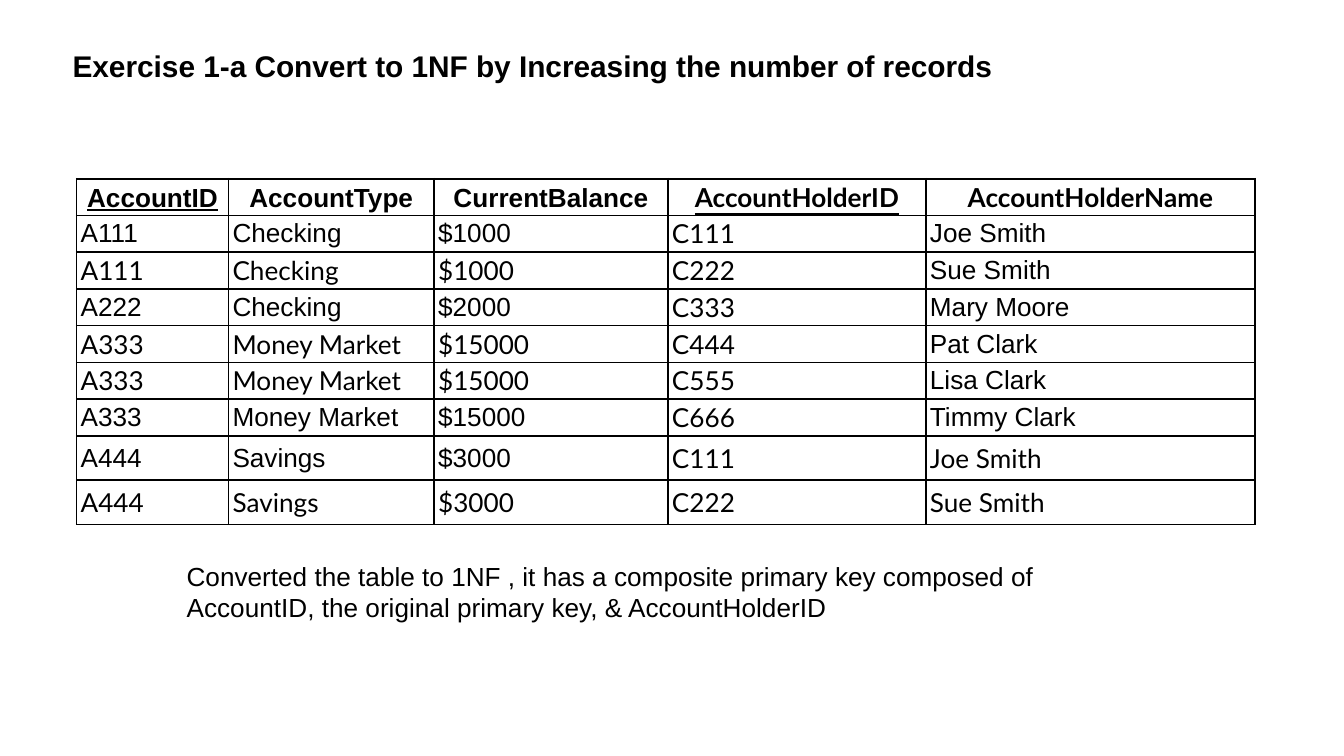
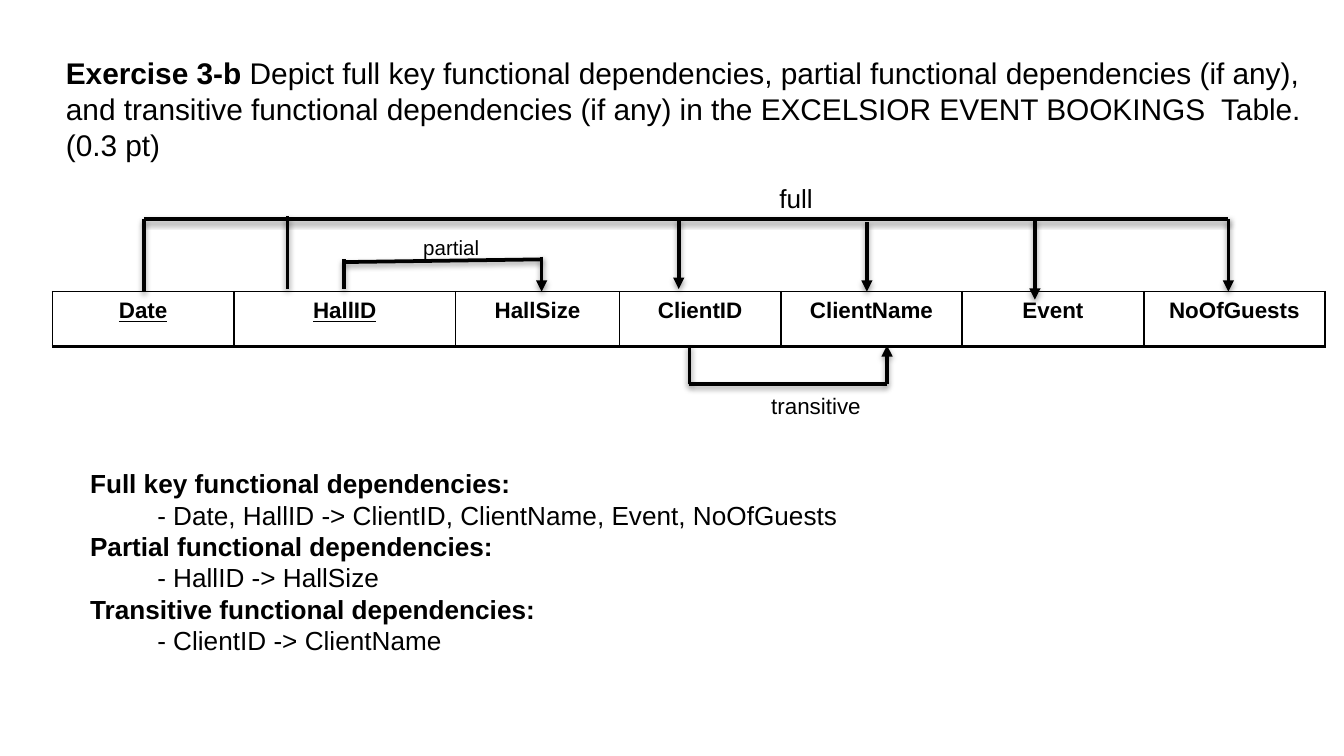
"""Builds two slides on normalisation: a 1NF table and a functional dependency diagram."""
from dataclasses import dataclass

from lxml.etree import SubElement
from pptx import Presentation
from pptx.dml.color import RGBColor
from pptx.enum.shapes import MSO_CONNECTOR
from pptx.enum.text import MSO_ANCHOR, MSO_AUTO_SIZE, PP_ALIGN
from pptx.oxml import parse_xml
from pptx.oxml.ns import nsdecls, qn
from pptx.util import Inches, Pt

COLORS = {"ink": "000000", "page": "FFFFFF"}
FONTS = {"A": "Arial", "L": "Lato"}
TITLE_ONLY, TITLE_AND_BODY = 5, 1
EDGES = ("L", "R", "T", "B")

HOLDER_COLS = (1.13, 1.53, 1.74, 1.92, 2.45)
HOLDER_ROWS = (0.22,) * 7 + (0.33,) * 2
HOLDER_CELLS = (
    ("AccountID", "AccountType", "CurrentBalance", "AccountHolderID", "AccountHolderName"),
    ("A111", "Checking", "$1000", "C111", "Joe Smith"),
    ("A111", "Checking", "$1000", "C222", "Sue Smith"),
    ("A222", "Checking", "$2000", "C333", "Mary Moore"),
    ("A333", "Money Market", "$15000", "C444", "Pat Clark"),
    ("A333", "Money Market", "$15000", "C555", "Lisa Clark"),
    ("A333", "Money Market", "$15000", "C666", "Timmy Clark"),
    ("A444", "Savings", "$3000", "C111", "Joe Smith"),
    ("A444", "Savings", "$3000", "C222", "Sue Smith"),
)
HOLDER_FONTS = ("AAALL", "AAALA", "LLLLA", "AAALA", "LLLLA", "LLLLA", "AAALA", "AAALL", "LLLLL")

BOOKING_COLS = (1.35, 1.65, 1.22, 1.2, 1.35, 1.35, 1.35)
BOOKING_FIELDS = ("Date", "HallID", "HallSize", "ClientID", "ClientName", "Event", "NoOfGuests")
KEYS = {"AccountID", "AccountHolderID", "Date", "HallID"}

DEPENDENCIES = (
    ("Full key functional dependencies:", "- Date, HallID -> ClientID, ClientName, Event, NoOfGuests"),
    ("Partial functional dependencies:", "- HallID -> HallSize"),
    ("Transitive functional dependencies:", "- ClientID -> ClientName"),
)


@dataclass(frozen=True)
class Box:
    """A rectangle in inches."""
    x: float
    y: float
    w: float
    h: float

    def lengths(self) -> tuple:
        """Return left, top, width and height as lengths."""
        return tuple(Inches(v) for v in (self.x, self.y, self.w, self.h))


@dataclass(frozen=True)
class Leg:
    """A vertical stroke from the rail to the table, with an arrowhead at a dependent field."""
    x: float
    rail: float
    foot: float
    arrow: bool = False


@dataclass(frozen=True)
class Dependency:
    """A labelled bracket joining determinant fields to dependent fields."""
    label: str
    label_box: Box
    size: int
    rail: tuple[float, float]
    legs: tuple[Leg, ...]


BRACKETS = (
    Dependency("full", Box(5.7, 1.31, 0.45, 0.34), 14, (1.63, 1.63), (
        Leg(1.07, 1.63, 2.17), Leg(2.14, 1.61, 2.15), Leg(5.05, 1.63, 2.15, True),
        Leg(6.45, 1.65, 2.17, True), Leg(7.7, 1.63, 2.23, True), Leg(9.14, 1.63, 2.17, True))),
    Dependency("partial", Box(3.05, 1.7, 0.62, 0.29), 11, (1.95, 1.93), (
        Leg(2.56, 1.93, 2.15), Leg(4.03, 1.91, 2.17, True))),
    Dependency("transitive", Box(5.64, 2.87, 0.87, 0.3), 12, (2.86, 2.86), (
        Leg(5.13, 2.86, 2.57), Leg(6.6, 2.86, 2.57, True))),
)


def style(p, size: float, bold: bool = False, underline: bool = False, font: str = "A") -> None:
    """Format every run of a paragraph."""
    for r in p.runs:
        r.font.size, r.font.name = Pt(size), FONTS[font]
        r.font.bold, r.font.underline = bold, underline
        r.font.color.rgb = RGBColor.from_string(COLORS["ink"])


def place(sp, box: Box) -> None:
    """Move a placeholder to a box."""
    sp.left, sp.top, sp.width, sp.height = box.lengths()


def add_slide(prs, layout: int, box: Box, bold_text: str, plain_text: str = ""):
    """Add a white slide with its title."""
    s = prs.slides.add_slide(prs.slide_layouts[layout])
    s.background.fill.solid()
    s.background.fill.fore_color.rgb = RGBColor.from_string(COLORS["page"])
    sp = s.shapes.title
    place(sp, box)
    tf = sp.text_frame
    tf.text = bold_text
    tf.auto_size, tf.vertical_anchor = MSO_AUTO_SIZE.NONE, MSO_ANCHOR.MIDDLE
    p = tf.paragraphs[0]
    p.alignment = PP_ALIGN.LEFT
    if plain_text:
        p.add_run().text = plain_text
    style(p, 16)
    p.runs[0].font.bold = True
    return s


def add_text(s, box: Box, text: str, size: float, wrap: bool = False) -> None:
    """Add a text box with one paragraph."""
    tf = s.shapes.add_textbox(*box.lengths()).text_frame
    tf.text = text
    tf.word_wrap, tf.auto_size = wrap, MSO_AUTO_SIZE.SHAPE_TO_FIT_TEXT
    style(tf.paragraphs[0], size)


def add_borders(cell, bottom: float) -> None:
    """Draw the four cell borders, the bottom one with its own width."""
    tc_pr = cell._tc.get_or_add_tcPr()
    for i, edge in enumerate(EDGES):
        width = Pt(bottom if edge == "B" else 1)
        tc_pr.insert(i, parse_xml(
            f'<a:ln{edge} {nsdecls("a")} w="{width}"><a:solidFill>'
            f'<a:srgbClr val="{COLORS["ink"]}"/></a:solidFill></a:ln{edge}>'))


def add_grid(s, box: Box, cols: tuple, rows: tuple, cells: tuple, size: float, bottom: float = 1):
    """Add a plain bordered table with a bold, centred header row and return it."""
    table = s.shapes.add_table(len(rows), len(cols), *box.lengths()).table
    table.first_row = table.horz_banding = False
    for column, width in zip(table.columns, cols):
        column.width = Inches(width)
    for i, (row, height) in enumerate(zip(table.rows, rows)):
        row.height = Inches(height)
        for cell, text in zip(row.cells, cells[i]):
            cell.text = text
            cell.fill.background()
            add_borders(cell, bottom)
            p = cell.text_frame.paragraphs[0]
            p.alignment = PP_ALIGN.LEFT if i else PP_ALIGN.CENTER
            style(p, size, i == 0, text in KEYS)
    return table


def add_line(s, x1: float, y1: float, x2: float, y2: float, arrow: bool = False) -> None:
    """Add a shadowed line, optionally ending in an arrowhead."""
    c = s.shapes.add_connector(MSO_CONNECTOR.STRAIGHT, *(Inches(v) for v in (x1, y1, x2, y2)))
    c.line.width = Pt(2)
    c.line.color.rgb = RGBColor.from_string(COLORS["ink"])
    if arrow:
        SubElement(c.line._get_or_add_ln(), qn("a:tailEnd"), type="triangle")
    c._element.spPr.append(parse_xml(
        f'<a:effectLst {nsdecls("a")}><a:outerShdw blurRad="{Pt(3.1)}" dist="{Pt(1.6)}" '
        f'dir="5400000" rotWithShape="0"><a:srgbClr val="{COLORS["ink"]}">'
        '<a:alpha val="38000"/></a:srgbClr></a:outerShdw></a:effectLst>'))


def add_dependency(s, dep: Dependency) -> None:
    """Draw one bracket with its label."""
    add_line(s, dep.legs[0].x, dep.rail[0], dep.legs[-1].x, dep.rail[1])
    for leg in dep.legs:
        add_line(s, leg.x, leg.rail, leg.x, leg.foot, leg.arrow)
    add_text(s, dep.label_box, dep.label, dep.size)


def fill_dependency_list(sp) -> None:
    """Write the dependency list into the body placeholder."""
    place(sp, Box(0.57, 3.43, 7.13, 1.51))
    tf = sp.text_frame
    tf.text = "\n".join(line for pair in DEPENDENCIES for line in pair)
    tf.auto_size = MSO_AUTO_SIZE.NONE
    for i, p in enumerate(tf.paragraphs):
        is_detail = i % 2 == 1
        p.space_before = p.space_after = Pt(0)
        p_pr = p._p.get_or_add_pPr()
        p_pr.set("marL", str(Inches(0.5 if is_detail else 0)))
        p_pr.set("indent", "0")
        SubElement(p_pr, qn("a:buNone"))
        style(p, 14, not is_detail)


def build_account_slide(prs) -> None:
    """Build the slide with the table converted to 1NF."""
    s = add_slide(prs, TITLE_ONLY, Box(0.44, 0.02, 7.44, 0.94),
                  "Exercise 1-a Convert to 1NF by Increasing the number of records")
    add_text(s, Box(1.29, 4.12, 6.91, 0.57),
             "Converted the table to 1NF , it has a composite primary key composed of "
             "AccountID, the original primary key, & AccountHolderID", 14, wrap=True)
    table = add_grid(s, Box(0.57, 1.33, 8.77, 2.58), HOLDER_COLS, HOLDER_ROWS, HOLDER_CELLS, 14)
    for i, (row, fonts) in enumerate(zip(table.rows, HOLDER_FONTS)):
        for cell, font in zip(row.cells, fonts):
            cell.margin_left = cell.margin_right = Inches(0.03)
            cell.margin_top = cell.margin_bottom = Inches(0.02)
            cell.vertical_anchor = MSO_ANCHOR.MIDDLE if i else MSO_ANCHOR.BOTTOM
            cell.text_frame.paragraphs[0].runs[0].font.name = FONTS[font]


def build_booking_slide(prs) -> None:
    """Build the slide with the functional dependency diagram."""
    s = add_slide(prs, TITLE_AND_BODY, Box(0.39, 0.34, 9.47, 0.94), "Exercise 3-b",
                  " Depict full key functional dependencies, partial functional dependencies "
                  "(if any), and transitive functional dependencies (if any) in the "
                  "EXCELSIOR EVENT BOOKINGS  Table. (0.3 pt)")
    add_grid(s, Box(0.39, 2.17, 9.47, 0.41), BOOKING_COLS, (0.41,), (BOOKING_FIELDS,), 12, bottom=2)
    fill_dependency_list(s.placeholders[1])
    for dep in BRACKETS:
        add_dependency(s, dep)


def main() -> None:
    """Build and save the presentation."""
    prs = Presentation()
    prs.slide_width, prs.slide_height = Inches(10), Inches(10 * 9 / 16)
    build_account_slide(prs)
    build_booking_slide(prs)
    prs.save("out.pptx")


if __name__ == "__main__":
    main()
